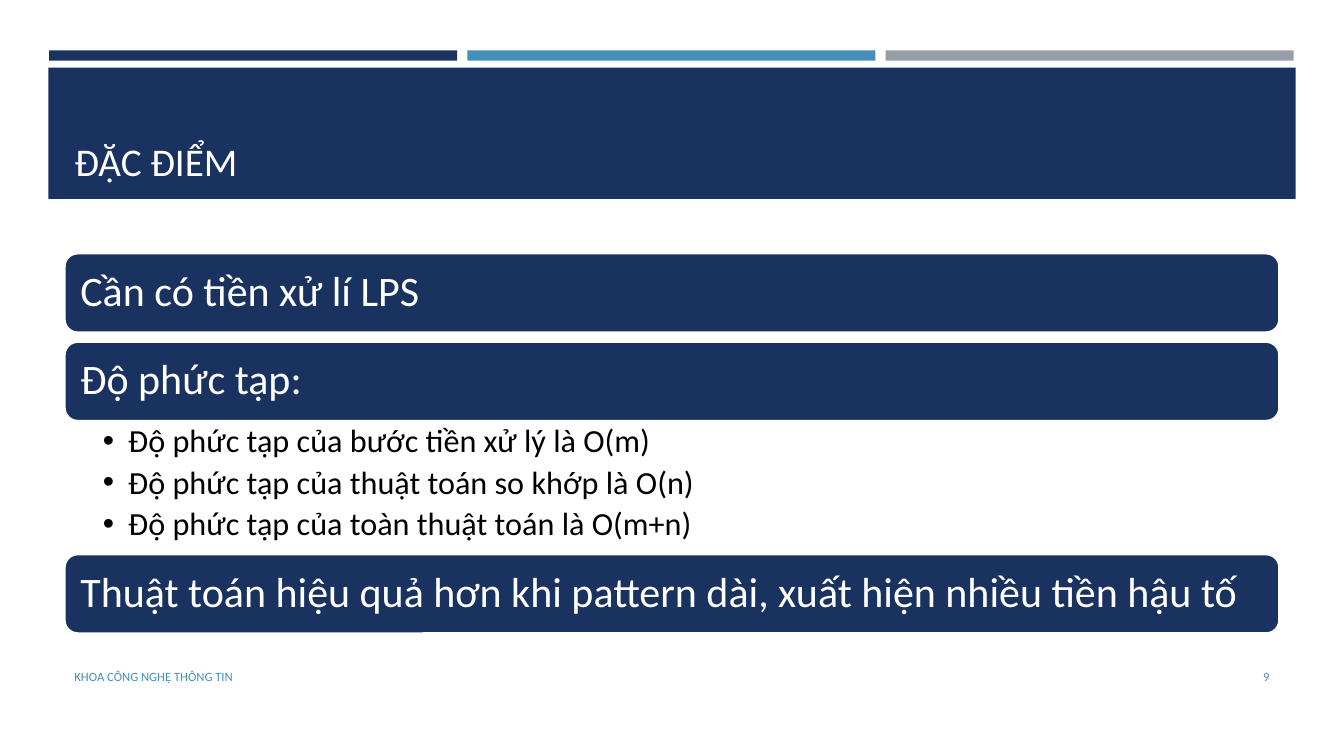
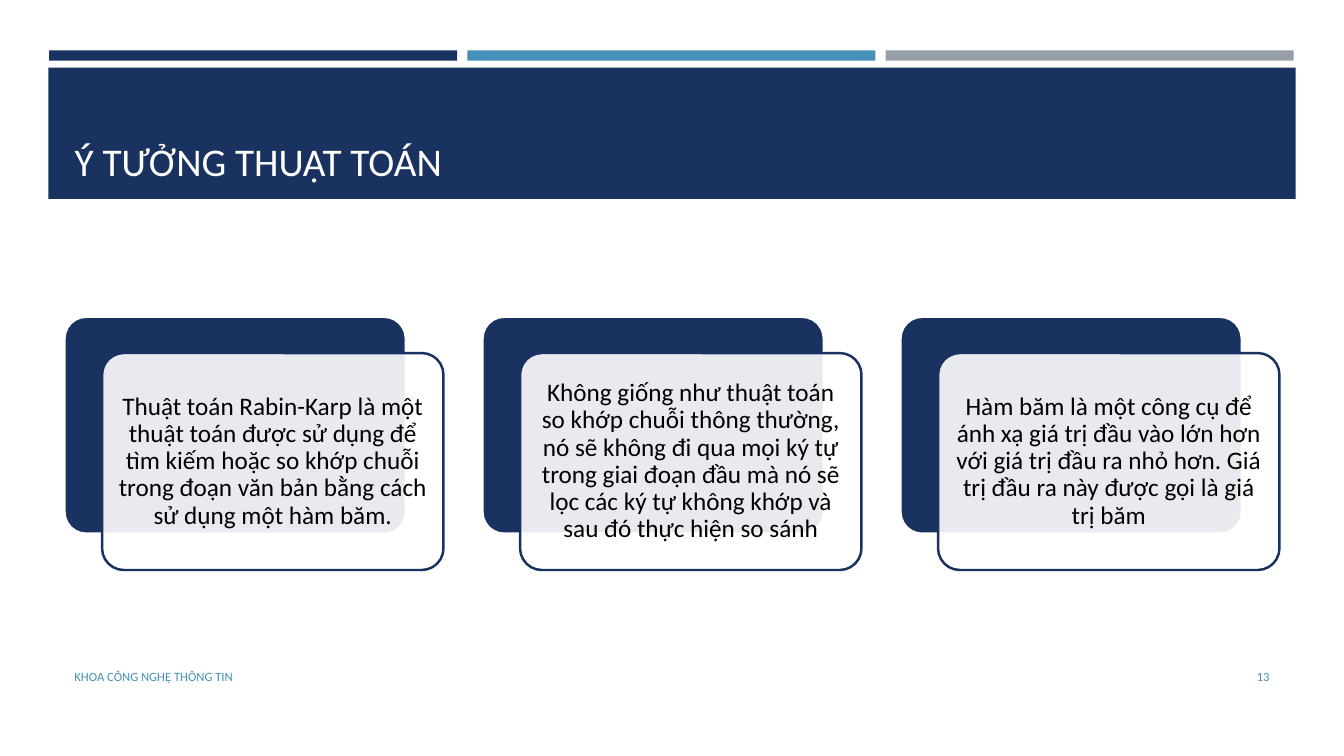
from lxml.etree import SubElement
from pptx import Presentation
from pptx.dml.color import RGBColor
from pptx.enum.shapes import MSO_SHAPE
from pptx.enum.text import MSO_ANCHOR, PP_ALIGN
from pptx.oxml.ns import qn
from pptx.util import Inches, Pt

NAVY = RGBColor(0x1A, 0x32, 0x60)
BLUE = RGBColor(0x45, 0x90, 0xB8)
GREY = RGBColor(0x96, 0x9F, 0xA7)
WHITE = RGBColor(0xFF, 0xFF, 0xFF)
BLACK = RGBColor(0x00, 0x00, 0x00)
FONT = "Calibri"

# Lengths are percent of the slide's width (x) or height (y)
MARGIN = 4.8
CONTENT = 100 - 2 * MARGIN


class Deck:
    """Holds the style and the current slide."""

    def __init__(self):
        self.prs = Presentation()
        self.prs.slide_width = Inches(13.33)
        self.prs.slide_height = Inches(7.5)
        self.slide = None

    def box(self, x, y, width, height):
        across, down = self.prs.slide_width / 100, self.prs.slide_height / 100
        return [round(n) for n in (x * across, y * down, width * across, height * down)]

    def start(self, title, number):
        self.slide = self.prs.slides.add_slide(self.prs.slide_layouts[5])
        # Colour bands and banner
        for column, colour in enumerate((NAVY, BLUE, GREY)):
            self.block((3.65 + column * 31.12, 6.67, 30.37, 1.35), colour)
        self.block((3.6, 8.95, 92.8, 17.35), NAVY)
        # Title, lifted above the banner
        heading = self.slide.shapes.title
        self.slide.shapes._spTree.append(heading._element)
        heading.left, heading.top, heading.width, heading.height = self.box(
            MARGIN, 10.25, CONTENT, 14.8)
        self.set_text(heading.text_frame, [title], 28, WHITE, anchor=MSO_ANCHOR.BOTTOM)
        # Footer and slide number
        self.label((MARGIN, 86.8, 56.7, 5.3), ["KHOA CÔNG NGHỆ THÔNG TIN"], 9, BLUE)
        self.label((100 - MARGIN - 8.6, 86.8, 8.6, 5.3), [str(number)], 9, BLUE,
                   align=PP_ALIGN.RIGHT)

    def block(self, area, fill, line=None, kind=MSO_SHAPE.RECTANGLE):
        shape = self.slide.shapes.add_shape(kind, *self.box(*area))
        shape.shadow.inherit = False
        shape.fill.solid()
        shape.fill.fore_color.rgb = fill
        if line is None:
            shape.line.fill.background()
        else:
            shape.line.color.rgb = line
            shape.line.width = Pt(1.75)
        return shape

    def set_text(self, frame, lines, size, colour, align=PP_ALIGN.LEFT,
                 anchor=MSO_ANCHOR.MIDDLE, inset=None, spacing=1.0, bulleted=False):
        frame.word_wrap = True
        frame.vertical_anchor = anchor
        if inset is not None:
            frame.margin_left = frame.margin_right = Pt(inset)
            frame.margin_top = frame.margin_bottom = Pt(inset)
        frame.text = "\n".join(lines)
        for paragraph in frame.paragraphs:
            paragraph.alignment = align
            paragraph.line_spacing = spacing
            if bulleted:
                self.add_bullet(paragraph)
            paragraph.font.name = FONT
            paragraph.font.size = Pt(size)
            paragraph.font.color.rgb = colour

    def add_bullet(self, paragraph):
        paragraph.space_after = Pt(4.6)
        properties = paragraph._p.get_or_add_pPr()
        properties.set("marL", str(Pt(18)))
        properties.set("indent", str(-Pt(18)))
        SubElement(properties, qn("a:buFont")).set("typeface", "Arial")
        SubElement(properties, qn("a:buChar")).set("char", "•")

    def label(self, area, lines, size, colour, **style):
        frame = self.slide.shapes.add_textbox(*self.box(*area)).text_frame
        self.set_text(frame, lines, size, colour, **style)
        return frame

    def bar(self, y, height, line):
        bar = self.block((MARGIN, y, CONTENT, height), NAVY, WHITE,
                         MSO_SHAPE.ROUNDED_RECTANGLE)
        self.set_text(bar.text_frame, [line], 30, WHITE, inset=8.6, spacing=0.9)

    def bullets(self, y, height, lines):
        frame = self.label((MARGIN, y, CONTENT, height), lines, 23, BLACK,
                           anchor=MSO_ANCHOR.TOP, inset=2.9, spacing=0.9, bulleted=True)
        frame.margin_left, frame.margin_right = Pt(27.5), Pt(16.5)

    def card(self, x, y, width, height, shift, line):
        """A solid card with a translucent text card shifted over it."""
        back = self.block((x, y, width, height), NAVY, WHITE,
                          MSO_SHAPE.ROUNDED_RECTANGLE)
        front = self.block((x + shift[0], y + shift[1], width, height), WHITE, NAVY,
                           MSO_SHAPE.ROUNDED_RECTANGLE)
        back.adjustments[0] = front.adjustments[0] = 0.1
        colour = front._element.spPr.find(qn("a:solidFill"))[0]
        SubElement(colour, qn("a:alpha")).set("val", "90000")
        self.set_text(front.text_frame, [line], 18, BLACK, align=PP_ALIGN.CENTER,
                      inset=5, spacing=0.9)


def features(deck):
    deck.start("ĐẶC ĐIỂM", 9)
    bar_height, gap, list_height = 10.5, 1.2, 17.6
    preprocessing_y = 33.5
    complexity_y = preprocessing_y + bar_height + gap
    list_y = complexity_y + bar_height
    deck.bar(preprocessing_y, bar_height, "Cần có tiền xử lí LPS")
    deck.bar(complexity_y, bar_height, "Độ phức tạp:")
    deck.bullets(list_y, list_height, [
        "Độ phức tạp của bước tiền xử lý là O(m)",
        "Độ phức tạp của thuật toán so khớp là O(n)",
        "Độ phức tạp của toàn thuật toán là O(m+n)",
    ])
    deck.bar(list_y + list_height, bar_height,
             "Thuật toán hiệu quả hơn khi pattern dài, xuất hiện nhiều tiền hậu tố")


def idea(deck):
    deck.start("Ý TƯỞNG THUẬT TOÁN", 13)
    ideas = [
        "Thuật toán Rabin-Karp là một thuật toán được sử dụng để tìm kiếm hoặc "
        "so khớp chuỗi trong đoạn văn bản bằng cách sử dụng một hàm băm.",
        "Không giống như thuật toán so khớp chuỗi thông thường, nó sẽ không đi qua "
        "mọi ký tự trong giai đoạn đầu mà nó sẽ lọc các ký tự không khớp và "
        "sau đó thực hiện so sánh",
        "Hàm băm là một công cụ để ánh xạ giá trị đầu vào lớn hơn với giá trị "
        "đầu ra nhỏ hơn. Giá trị đầu ra này được gọi là giá trị băm",
    ]
    width, height, shift = 25.4, 28.7, (2.8, 4.8)
    pitch = (CONTENT - width - shift[0]) / (len(ideas) - 1)
    for column, line in enumerate(ideas):
        deck.card(MARGIN + column * pitch, 41.9, width, height, shift, line)


def main():
    deck = Deck()
    features(deck)
    idea(deck)
    deck.prs.save("out.pptx")


if __name__ == "__main__":
    main()
